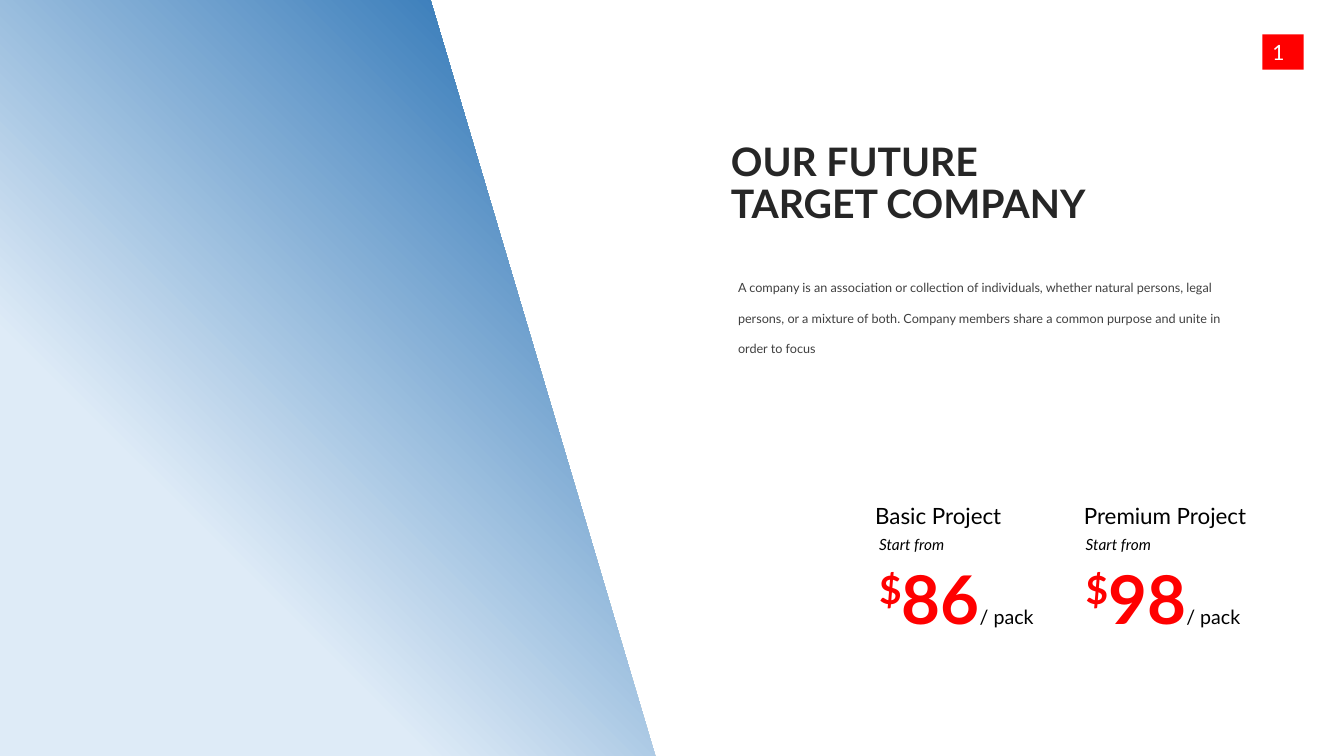
import pptx
import pptx.dml.color
import pptx.enum.shapes
import pptx.enum.text
import pptx.util

Inches = pptx.util.Inches
RGBColor = pptx.dml.color.RGBColor

FONT = "Lato"
BLACK = RGBColor(0, 0, 0)
WHITE = RGBColor(0xFF, 0xFF, 0xFF)
RED = RGBColor(0xFF, 0, 0)
DARK = RGBColor(0x26, 0x26, 0x26)
GREY = RGBColor(0x40, 0x40, 0x40)
PALE_BLUE = RGBColor(0xDE, 0xEB, 0xF7)
DEEP_BLUE = RGBColor(0x2E, 0x75, 0xB6)


def style(font, size, color, bold=False, italic=False):
    font.name = FONT
    font.size = pptx.util.Pt(size)
    font.color.rgb = color
    font.bold = bold
    font.italic = italic


def add_box(slide, left, top, width, height, spacing=1.0, inset=True):
    """Add a wrapping text box and return its first paragraph."""
    box = slide.shapes.add_textbox(
        Inches(left), Inches(top), Inches(width), Inches(height))
    frame = box.text_frame
    frame.word_wrap = True
    frame.auto_size = pptx.enum.text.MSO_AUTO_SIZE.SHAPE_TO_FIT_TEXT
    if not inset:
        frame.margin_left = frame.margin_right = 0
        frame.margin_top = frame.margin_bottom = 0
    paragraph = frame.paragraphs[0]
    paragraph.line_spacing = spacing
    return paragraph


def add_panel(slide):
    builder = slide.shapes.build_freeform(0, 0, scale=Inches(1) / 100)
    builder.add_line_segments([(427, 0), (650, 750), (0, 750)], close=True)
    panel = builder.convert_to_shape()
    panel.shadow.inherit = False
    panel.line.fill.background()
    panel.fill.gradient()
    panel.fill.gradient_angle = 45
    stops = ((0.3, PALE_BLUE), (0.9, DEEP_BLUE))
    for stop, (position, color) in zip(panel.fill.gradient_stops, stops):
        stop.position = position
        stop.color.rgb = color


def add_title(slide, text):
    title = slide.shapes.title
    title.left, title.top = Inches(7.15), Inches(1.19)
    title.width, title.height = Inches(4.07), Inches(1.29)
    frame = title.text_frame
    frame.text = text
    frame.word_wrap = True
    frame.auto_size = pptx.enum.text.MSO_AUTO_SIZE.NONE
    frame.vertical_anchor = pptx.enum.text.MSO_ANCHOR.MIDDLE
    heading = frame.paragraphs[0]
    heading.alignment = pptx.enum.text.PP_ALIGN.LEFT
    heading.line_spacing = 0.9
    style(heading.font, 28, DARK, bold=True)


def add_description(slide, text):
    description = add_box(slide, 7.32, 2.63, 4.92, 0.91, 2.0, inset=False)
    description.text = text
    style(description.font, 9, GREY)


def add_offer(slide, left, name_left, name, amount):
    offer = add_box(slide, name_left, 4.98, 2.25, 0.27, inset=False)
    offer.text = name
    style(offer.font, 16, BLACK)

    start = add_box(slide, left, 5.22, 2.28, 0.32, 1.2)
    start.text = "Start from"
    style(start.font, 11, BLACK, italic=True)

    price = add_box(slide, left, 5.32, 2.28, 1.07, 1.2)
    currency, figure, unit = (price.add_run() for _ in range(3))
    currency.text, figure.text, unit.text = "$", amount, "/ pack"
    style(currency.font, 48, RED, bold=True)
    style(figure.font, 48, RED, bold=True)
    style(unit.font, 14, BLACK)
    # Raise the currency sign
    currency._r.get_or_add_rPr().set("baseline", "30000")


def add_page_number(slide, number):
    badge = slide.shapes.add_shape(
        pptx.enum.shapes.MSO_SHAPE.RECTANGLE,
        Inches(12.52), Inches(0.34), Inches(0.41), Inches(0.35))
    badge.shadow.inherit = False
    badge.fill.solid()
    badge.fill.fore_color.rgb = RED
    badge.line.fill.background()
    badge.text_frame.text = number
    badge.text_frame.vertical_anchor = pptx.enum.text.MSO_ANCHOR.TOP
    label = badge.text_frame.paragraphs[0]
    label.alignment = pptx.enum.text.PP_ALIGN.LEFT
    style(label.font, 15, WHITE)


def main():
    deck = pptx.Presentation()
    deck.slide_width, deck.slide_height = Inches(13.33), Inches(7.5)
    slide = deck.slides.add_slide(deck.slide_layouts.get_by_name("Title Only"))

    # Gradient panel on the left
    add_panel(slide)

    # Heading and description
    add_title(slide, "OUR FUTURE TARGET COMPANY")
    add_description(
        slide,
        "A company is an association or collection of individuals, whether "
        "natural persons, legal persons, or a mixture of both. Company members "
        "share a common purpose and unite in order to focus")

    # Price offers
    add_offer(slide, 8.62, 8.68, "Basic Project", "86")
    add_offer(slide, 10.67, 10.75, "Premium Project", "98")

    # Page number
    add_page_number(slide, "1")
    deck.save("out.pptx")


if __name__ == "__main__":
    main()
